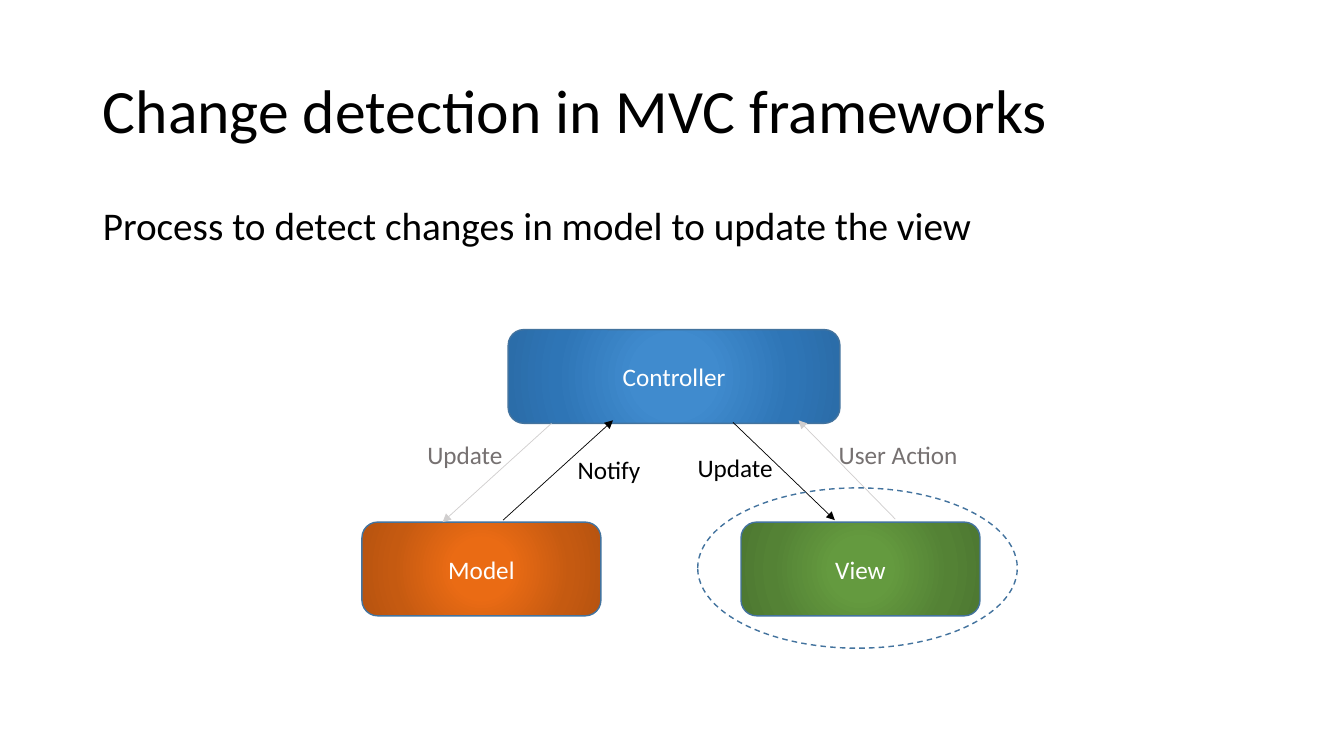
from dataclasses import dataclass

from lxml.etree import SubElement
from pptx import Presentation
from pptx.dml.color import RGBColor
from pptx.enum.dml import MSO_LINE_DASH_STYLE as Dash
from pptx.enum.shapes import MSO_CONNECTOR as Connector, MSO_SHAPE as Shape
from pptx.enum.text import MSO_ANCHOR as Anchor, MSO_AUTO_SIZE as AutoSize, PP_ALIGN as Align
from pptx.oxml.ns import qn
from pptx.util import Inches, Pt

CELL = Inches(0.1)
FONT = "Calibri"
BLACK, WHITE, GREY, PALE, OUTLINE = "000000", "FFFFFF", "767171", "D0CECE", "43739E"

NODES = [
    ("Controller", (14.5, 0, 32.9, 9.3), ("408BCE", "2E75B6", "2B6DA9")),
    ("View", (37.6, 19.1, 23.7, 9.3), ("649A3F", "548235", "4E7932")),
    ("Model", (0, 19.1, 23.7, 9.3), ("EA6B14", "C55A11", "B85410")),
]
ARROWS = [
    ((18.8, 9.3), (8, 19.1), PALE),
    ((14, 18.9), (24.9, 9), BLACK),
    ((36.8, 9.2), (46.9, 18.9), BLACK),
    ((52.9, 18.8), (43.3, 9), PALE),
]
LABELS = [
    ("Update", (5.5, 10.4, 9.6, 4), GREY),
    ("User Action", (46.3, 10.4, 16.6, 4), GREY),
    ("Notify", (20.4, 11.9, 9.7, 4), BLACK),
    ("Update", (32.3, 11.7, 12.7, 4), BLACK),
]
HIGHLIGHT = (33.3, 15.7, 31.7, 15.9)


@dataclass
class Box:
    left: float
    top: float
    width: float
    height: float

    def point(self, column, row):
        return round((self.left + column) * CELL), round((self.top + row) * CELL)

    def area(self, column, row, columns, rows):
        return *self.point(column, row), round(columns * CELL), round(rows * CELL)

    def place(self, shape):
        shape.left, shape.top, shape.width, shape.height = self.area(0, 0, self.width, self.height)


def color(value):
    return RGBColor.from_string(value)


def write(shape, text, size, text_color, align=Align.LEFT, anchor=Anchor.TOP):
    frame = shape.text_frame
    frame.text = text
    frame.word_wrap = True
    frame.vertical_anchor = anchor
    paragraph = frame.paragraphs[0]
    paragraph.alignment = align
    font = paragraph.runs[0].font
    font.name, font.size = FONT, Pt(size)
    font.color.rgb = color(text_color)
    return paragraph


def fill_radial(shape, colors):
    inner, middle, outer = colors
    gradient = shape.element.spPr.makeelement(qn("a:gradFill"), {"rotWithShape": "1"})
    stops = SubElement(gradient, qn("a:gsLst"))
    for percent, value in ((0, inner), (23, inner), (69, middle), (97, outer)):
        stop = SubElement(stops, qn("a:gs"), pos=str(percent * 1000))
        SubElement(stop, qn("a:srgbClr"), val=value)
    shading = SubElement(gradient, qn("a:path"), path="circle")
    SubElement(shading, qn("a:fillToRect"), {side: "50000" for side in "ltrb"})
    shape.element.spPr.find(qn("a:prstGeom")).addnext(gradient)


def add_outlined(slide, kind, area):
    shape = slide.shapes.add_shape(kind, *area)
    shape.shadow.inherit = False
    shape.line.color.rgb = color(OUTLINE)
    shape.line.width = Pt(1)
    return shape


def add_arrow(slide, start, end, line_color):
    arrow = slide.shapes.add_connector(Connector.STRAIGHT, *start, *end)
    arrow.line.color.rgb = color(line_color)
    arrow.line.width = Pt(0.5)
    SubElement(arrow.line._get_or_add_ln(), qn("a:tailEnd"), type="triangle")
    SubElement(arrow.element.spPr, qn("a:effectLst"))


def add_title(slide, box, text):
    title = slide.shapes.title
    box.place(title)
    write(title, text, 44, BLACK, anchor=Anchor.MIDDLE).line_spacing = 0.9


def add_body(slide, box, text):
    body = slide.placeholders[1]
    box.place(body)
    paragraph = write(body, text, 28, BLACK)
    paragraph.line_spacing = 0.9
    paragraph.space_before = Pt(10)
    properties = paragraph._p.get_or_add_pPr()
    properties.set("marL", "0")
    properties.set("indent", "0")
    SubElement(properties, qn("a:buNone"))


def add_diagram(slide, box):
    for name, area, colors in NODES:
        node = add_outlined(slide, Shape.ROUNDED_RECTANGLE, box.area(*area))
        fill_radial(node, colors)
        write(node, name, 18, WHITE, Align.CENTER, Anchor.MIDDLE)
    for start, end, line_color in ARROWS:
        add_arrow(slide, box.point(*start), box.point(*end), line_color)
    for text, area, text_color in LABELS:
        label = slide.shapes.add_textbox(*box.area(*area))
        write(label, text, 18, text_color)
        label.text_frame.auto_size = AutoSize.SHAPE_TO_FIT_TEXT
    highlight = add_outlined(slide, Shape.OVAL, box.area(*HIGHLIGHT))
    highlight.fill.background()
    highlight.line.dash_style = Dash.DASH


def main():
    presentation = Presentation()
    presentation.slide_width, presentation.slide_height = Inches(13.33), Inches(7.5)
    slide = presentation.slides.add_slide(presentation.slide_layouts[1])
    add_title(slide, Box(9.2, 4, 115, 14.5), "Change detection in MVC frameworks")
    add_body(slide, Box(9.2, 20, 115, 47.6), "Process to detect changes in model to update the view")
    add_diagram(slide, Box(35.9, 32.7, 65, 31.6))
    presentation.save("out.pptx")


if __name__ == "__main__":
    main()
